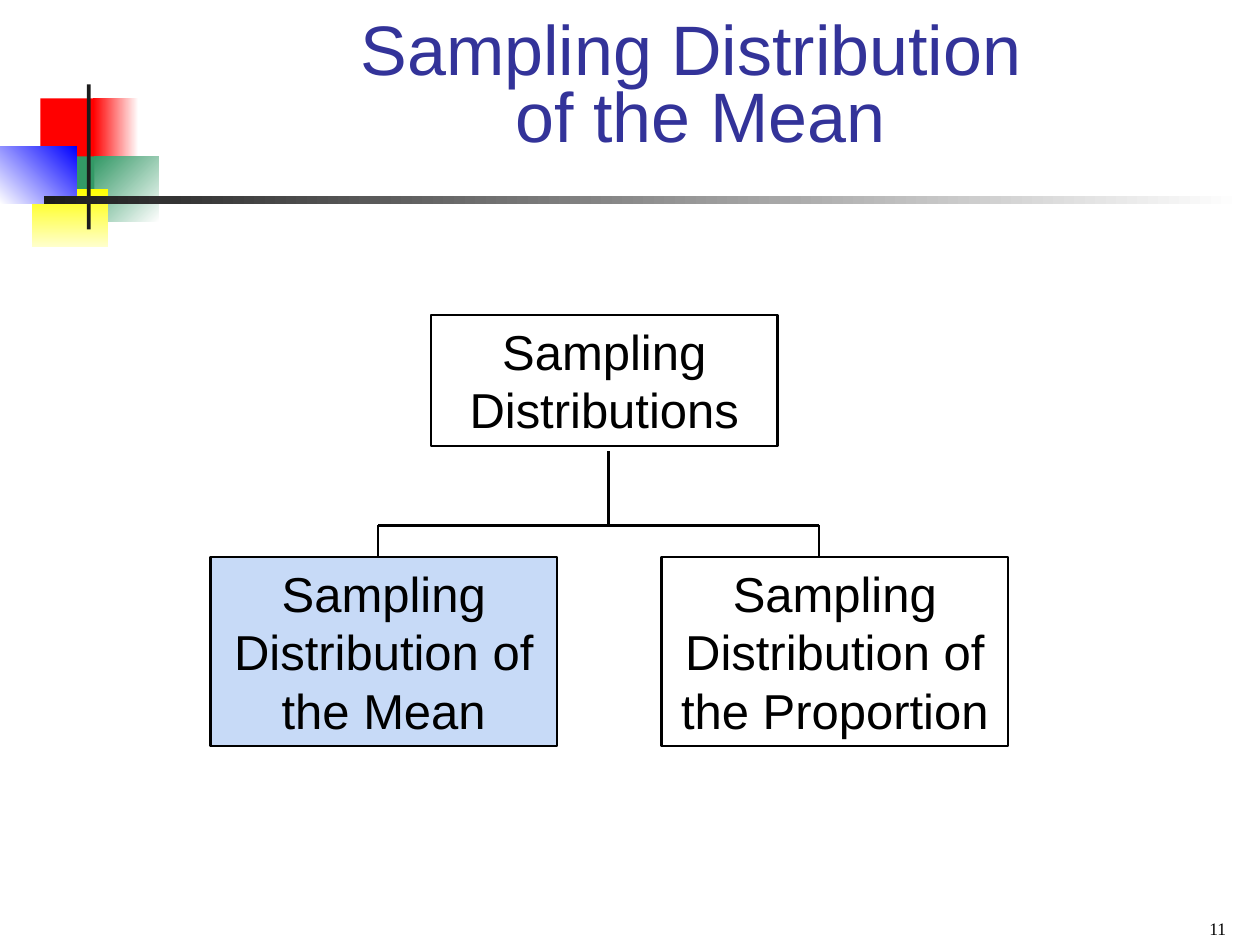
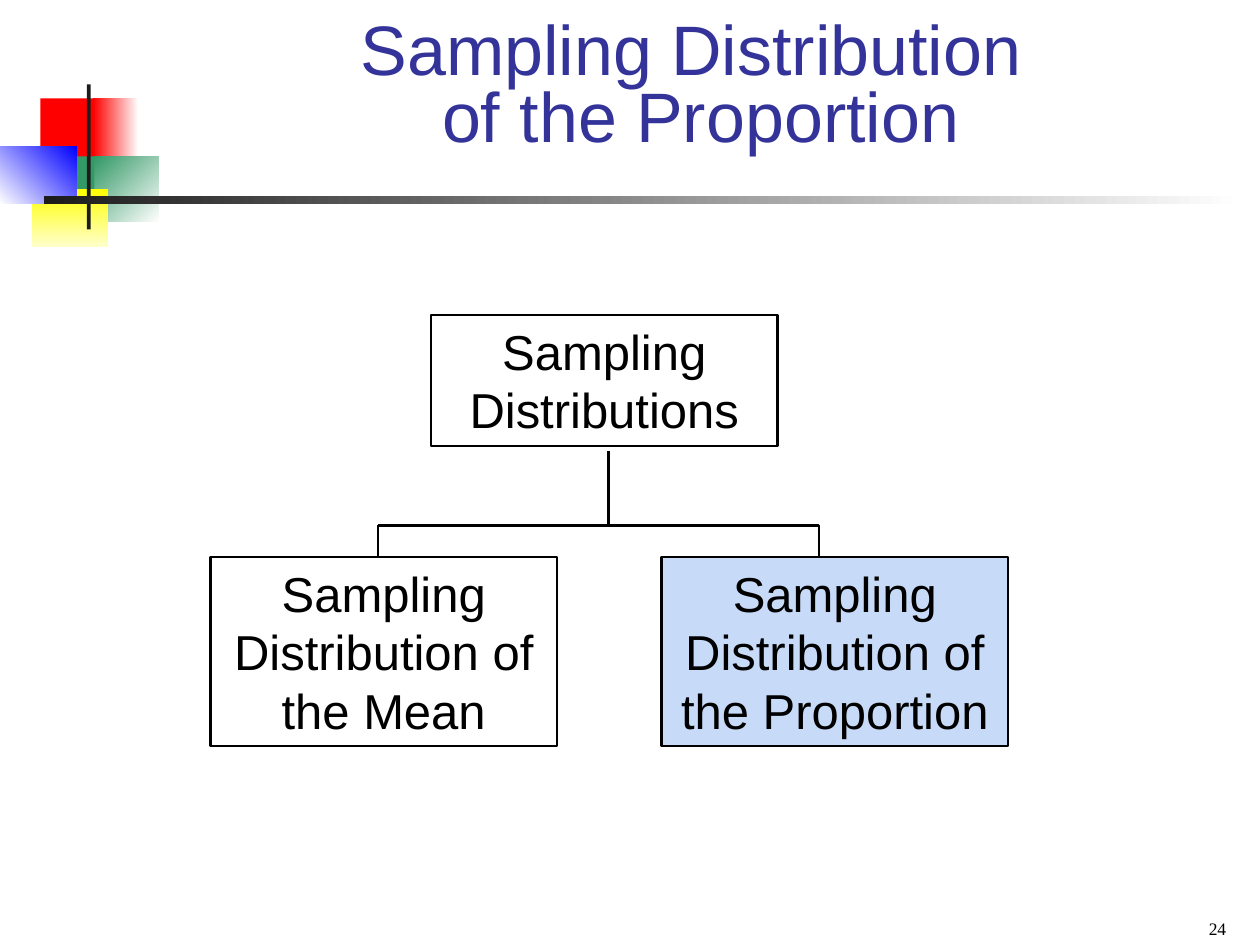
"""Build two slides that locate the mean and the proportion among sampling distributions."""
import pptx
import pptx.dml.color
import pptx.enum.shapes
import pptx.enum.text
import pptx.oxml.ns
import pptx.util
from lxml import etree

Inches = pptx.util.Inches
Pt = pptx.util.Pt
RECTANGLE = pptx.enum.shapes.MSO_SHAPE.RECTANGLE
ALIGN = pptx.enum.text.PP_ALIGN
ANCHOR = pptx.enum.text.MSO_ANCHOR

INK = "000000"
CHARCOAL = "1C1C1C"
TITLE_BLUE = "333399"
HIGHLIGHT = "C7DAF7"


def rgb(value):
    """Turn a hex string into a colour."""
    return pptx.dml.color.RGBColor.from_string(value)


def add_text(paragraph, text, font, size, color):
    """Append one formatted run."""
    run = paragraph.add_run()
    run.text = text
    run.font.name = font
    run.font.size = Pt(size)
    run.font.color.rgb = rgb(color)


prs = pptx.Presentation()
prs.slide_width = Inches(10)
prs.slide_height = Inches(7.5)

layout = prs.slide_layouts[5]
for placeholder in list(layout.placeholders):
    if placeholder.placeholder_format.idx != 0:
        placeholder.element.getparent().remove(placeholder.element)
title_area = layout.placeholders[0]
title_area.left, title_area.top = Inches(1.94), Inches(0.35)
title_area.width, title_area.height = Inches(7.24), Inches(0.94)

# left, top, width, height, colours from first to last, clockwise angle
ornament = [
    (0.32, 0.78, 0.48, 0.52, ["FF0000"], 0),
    (0.74, 0.78, 0.36, 0.52, ["FFFFFF", "FF0000"], 180),
    (0.75, 1.24, 0.51, 0.52, ["FFFFFF", "339966"], 225),
    (0.43, 1.24, 0.32, 0.52, ["339966"], 0),
    (0.25, 1.5, 0.61, 0.46, ["FFFF00", "FFFFCC"], 90),
    (0, 1.16, 0.61, 0.46, ["0000FF", "FFFFFF"], 135),
    (0.69, 0.67, 0.03, 1.15, [CHARCOAL], 0),
    (0.35, 1.56, 9.51, 0.06, ["FFFFFF", CHARCOAL], 180),
]

tree_boxes = [
    ("Sampling Distributions", 3.42, 2.5, 1.04),
    ("Sampling Distribution of the Mean", 1.67, 4.42, 1.5),
    ("Sampling Distribution of the Proportion", 5.25, 4.42, 1.5),
]

tree_lines = [
    (3, 4.17, 3, 4.42),
    (6.5, 4.17, 6.5, 4.42),
    (3, 4.17, 6.5, 4.17),
    (4.83, 4.17, 4.83, 3.58),
]

topics = [("of the Mean", "11"), ("of the Proportion", "24")]
slides = [prs.slides.add_slide(layout) for topic in topics]

for left, top, width, height, colors, angle in ornament:
    block = slides[0].shapes.add_shape(
        RECTANGLE, Inches(left), Inches(top), Inches(width), Inches(height))
    block.shadow.inherit = False
    block.line.fill.background()
    if len(colors) == 1:
        block.fill.solid()
        block.fill.fore_color.rgb = rgb(colors[0])
    else:
        block.fill.gradient()
        block.fill.gradient_angle = (360 - angle) % 360
        for stop, color in zip(block.fill.gradient_stops, colors):
            stop.color.rgb = rgb(color)
    layout.element.cSld.spTree.append(block.element)

for slide, (topic, page) in zip(slides, topics):
    heading = slide.shapes.title.text_frame
    heading.auto_size = pptx.enum.text.MSO_AUTO_SIZE.NONE
    heading.vertical_anchor = ANCHOR.BOTTOM
    heading_lines = heading.paragraphs[0]
    heading_lines.alignment = ALIGN.CENTER
    heading_lines.line_spacing = 0.8
    add_text(heading_lines, "Sampling Distribution ", "Arial", 40, TITLE_BLUE)
    heading_lines.add_line_break()
    add_text(heading_lines, topic, "Arial", 40, TITLE_BLUE)

    for label, left, top, height in tree_boxes:
        box = slide.shapes.add_shape(
            RECTANGLE, Inches(left), Inches(top), Inches(2.75), Inches(height))
        box.shadow.inherit = False
        box.line.color.rgb = rgb(INK)
        box.line.width = Pt(1.5)
        if label.endswith(topic):
            box.fill.solid()
            box.fill.fore_color.rgb = rgb(HIGHLIGHT)
        else:
            box.fill.background()
        box.text_frame.word_wrap = True
        box.text_frame.vertical_anchor = ANCHOR.TOP
        box.text_frame.paragraphs[0].alignment = ALIGN.CENTER
        add_text(box.text_frame.paragraphs[0], label, "Arial", 28, INK)

    for ends in tree_lines:
        branch = slide.shapes.add_connector(
            pptx.enum.shapes.MSO_CONNECTOR.STRAIGHT, *map(Inches, ends))
        branch.line.color.rgb = rgb(INK)
        branch.line.width = Pt(1.5)
        etree.SubElement(branch.element.spPr, pptx.oxml.ns.qn("a:effectLst"))

    page_number = slide.shapes.add_textbox(
        Inches(7.5), Inches(7.15), Inches(2.33), Inches(0.35)).text_frame
    page_number.word_wrap = True
    page_number.vertical_anchor = ANCHOR.BOTTOM
    page_number.paragraphs[0].alignment = ALIGN.RIGHT
    add_text(page_number.paragraphs[0], page, "Times New Roman", 10, INK)

prs.save("out.pptx")
